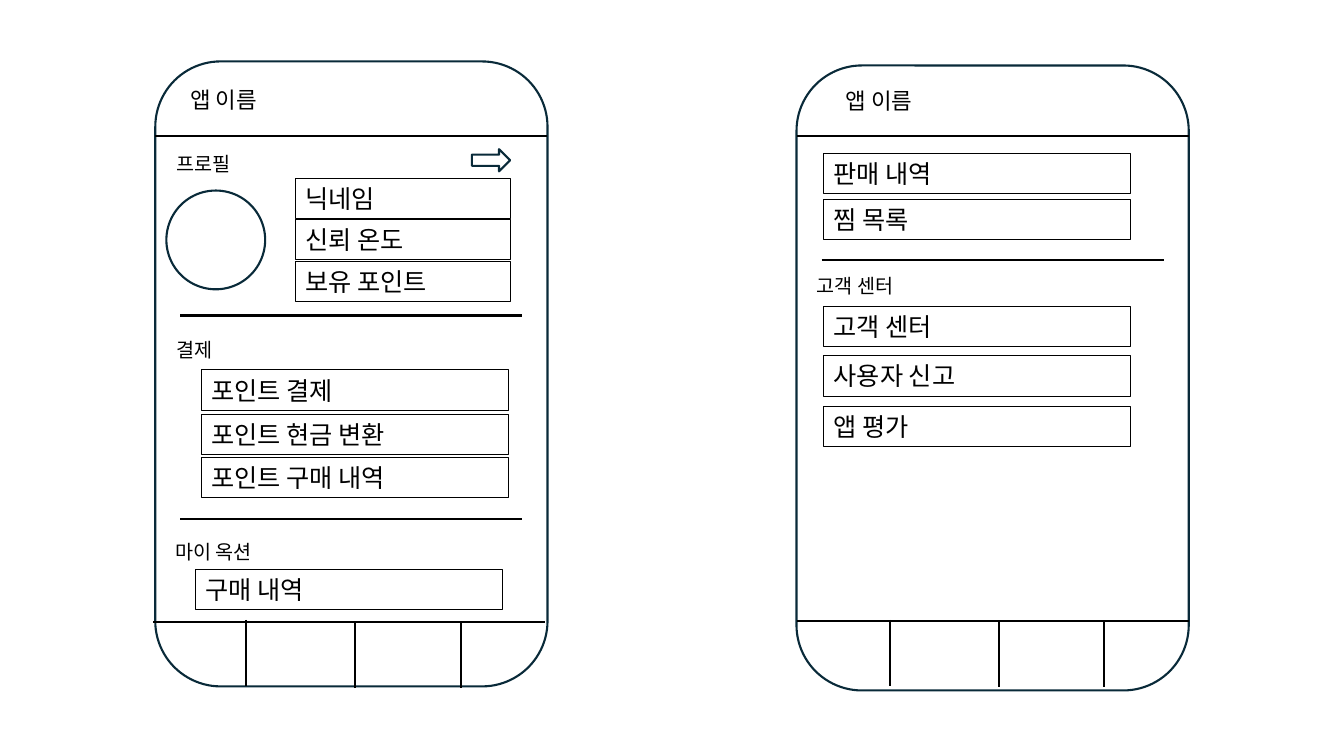
"""Build a slide with two wireframe screens of a marketplace app's profile page."""
from dataclasses import dataclass

from lxml import etree
from pptx import Presentation
from pptx import util as u
from pptx.enum import shapes, text
from pptx.oxml import ns

SCALE = 9144
FONT = "Noto Sans CJK KR"
COLORS = {"ink": "000000", "frame": "092A39", "paper": "FFFFFF"}
ROW_HEIGHT = 40
MENU_WIDTH = 304
PHONE_WIDTH, PHONE_HEIGHT = 389, 620
DIVIDER_WIDTH = 339
TAB_HEIGHT = 66


@dataclass(frozen=True)
class Outline:
    kind: shapes.MSO_SHAPE
    left: int
    top: int
    width: int
    height: int
    filled: bool = False


@dataclass(frozen=True)
class Label:
    wording: str
    left: int
    top: int
    width: int
    height: int = 34
    size: int = 14


@dataclass(frozen=True)
class Menu:
    left: int
    tops: tuple[int, ...]
    entries: tuple[str, ...]
    width: int = MENU_WIDTH


@dataclass(frozen=True)
class Rule:
    left: int
    top: int
    width: int = 0
    height: int = 0


OUTLINES = (
    Outline(shapes.MSO_SHAPE.ROUNDED_RECTANGLE, 154, 61, PHONE_WIDTH, PHONE_HEIGHT),
    Outline(shapes.MSO_SHAPE.ROUNDED_RECTANGLE, 790, 65, PHONE_WIDTH, PHONE_HEIGHT),
    Outline(shapes.MSO_SHAPE.OVAL, 165, 189, 98, 98, True),
    Outline(shapes.MSO_SHAPE.RIGHT_ARROW, 468, 148, 38, 22),
)
LABELS = (
    Label("앱 이름", 179, 81, 95, 37, 16),
    Label("프로필", 165, 146, 79),
    Label("결제", 165, 330, 59),
    Label("마이 옥션", 164, 531, 106),
    Label("앱 이름", 829, 82, 95, 37, 16),
    Label("고객 센터", 800, 267, 106),
)
MENUS = (
    Menu(293, (177, 218, 259), ("닉네임", "신뢰 온도", "보유 포인트"), 213),
    Menu(200, (367, 411, 454), ("포인트 결제", "포인트 현금 변환", "포인트 구매 내역")),
    Menu(194, (565,), ("구매 내역",)),
    Menu(817, (152, 198), ("판매 내역", "찜 목록")),
    Menu(817, (304, 353, 403), ("고객 센터", "사용자 신고", "앱 평가")),
)
RULES = (
    Rule(154, 135, PHONE_WIDTH),
    Rule(790, 135, PHONE_WIDTH),
    Rule(152, 617, PHONE_WIDTH),
    Rule(790, 616, PHONE_WIDTH),
    Rule(179, 313, DIVIDER_WIDTH),
    Rule(179, 515, DIVIDER_WIDTH),
    Rule(815, 258, DIVIDER_WIDTH),
    Rule(244, 615, height=TAB_HEIGHT),
    Rule(352, 617, height=TAB_HEIGHT),
    Rule(457, 617, height=TAB_HEIGHT),
    Rule(883, 615, height=TAB_HEIGHT),
    Rule(991, 616, height=TAB_HEIGHT),
    Rule(1095, 616, height=TAB_HEIGHT),
)


def emu(*px: int) -> list[u.Emu]:
    return [u.Emu(length * SCALE) for length in px]


def color_line(line, color: str, width: float) -> None:
    line.color.rgb = RGBColor.from_string(COLORS[color])
    line.width = u.Pt(width)


def draw_outline(slide, part: Outline) -> None:
    figure = slide.shapes.add_shape(
        part.kind, *emu(part.left, part.top, part.width, part.height))
    figure.shadow.inherit = False
    if part.filled:
        figure.fill.solid()
        figure.fill.fore_color.rgb = RGBColor.from_string(COLORS["paper"])
    else:
        figure.fill.background()
    color_line(figure.line, "frame", 1.5)


def draw_label(slide, label: Label, wrap: bool = False):
    box = slide.shapes.add_textbox(
        *emu(label.left, label.top, label.width, label.height))
    frame = box.text_frame
    frame.text = label.wording
    frame.word_wrap = wrap
    frame.auto_size = text.MSO_AUTO_SIZE.SHAPE_TO_FIT_TEXT
    font = frame.paragraphs[0].runs[0].font
    font.size = u.Pt(label.size)
    font.color.rgb = RGBColor.from_string(COLORS["ink"])
    font.name = FONT
    properties = frame.paragraphs[0].runs[0]._r.get_or_add_rPr()
    etree.SubElement(properties, ns.qn("a:ea"), typeface=FONT)
    return box


def draw_menu(slide, menu: Menu) -> None:
    for top, entry in zip(menu.tops, menu.entries):
        row = Label(entry, menu.left, top, menu.width, ROW_HEIGHT, 18)
        color_line(draw_label(slide, row, wrap=True).line, "ink", 0.75)


def draw_rule(slide, rule: Rule) -> None:
    stroke = slide.shapes.add_connector(
        shapes.MSO_CONNECTOR.STRAIGHT,
        *emu(rule.left, rule.top, rule.left + rule.width, rule.top + rule.height))
    color_line(stroke.line, "ink", 1.5)
    etree.SubElement(stroke._element.spPr, ns.qn("a:effectLst"))


def main() -> None:
    deck = Presentation()
    deck.slide_width, deck.slide_height = emu(1333, 750)
    slide = deck.slides.add_slide(deck.slide_layouts[6])
    for outline in OUTLINES:
        draw_outline(slide, outline)
    for rule in RULES:
        draw_rule(slide, rule)
    for label in LABELS:
        draw_label(slide, label)
    for menu in MENUS:
        draw_menu(slide, menu)
    deck.save("out.pptx")


from pptx.dml.color import RGBColor

if __name__ == "__main__":
    main()
